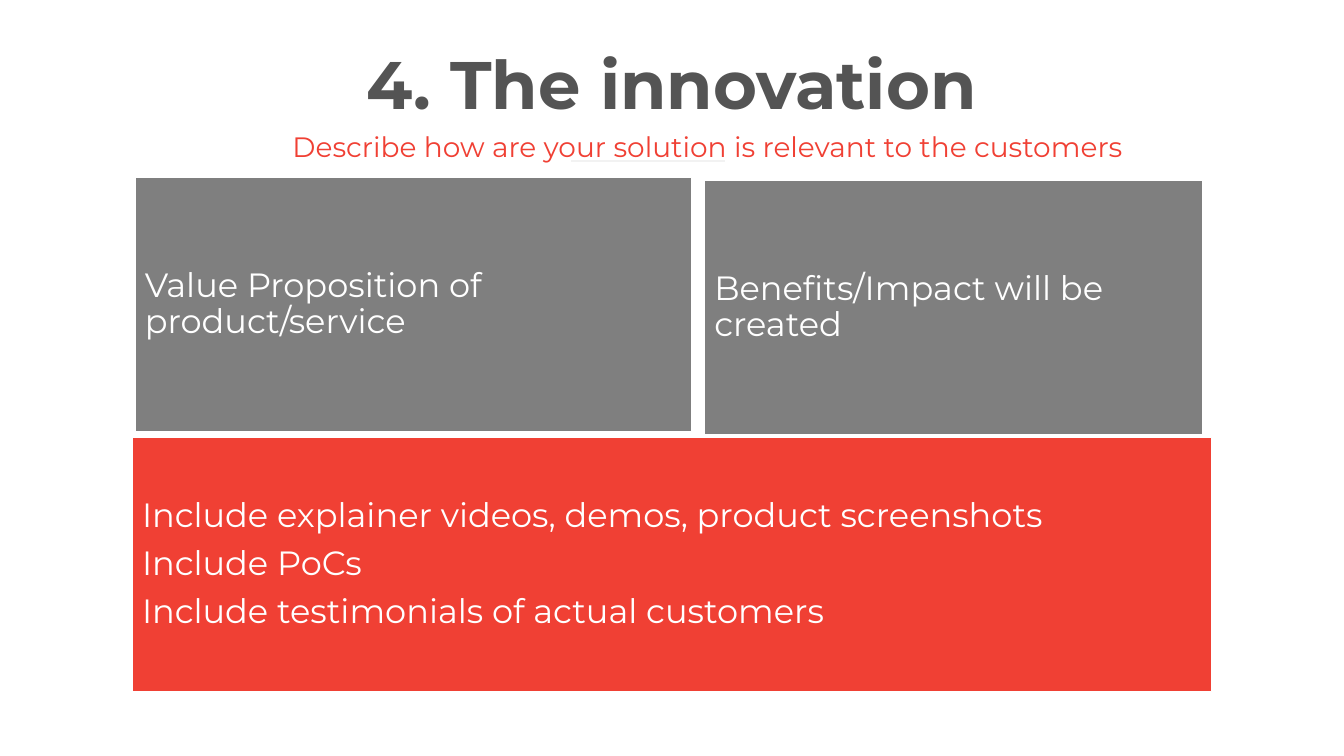
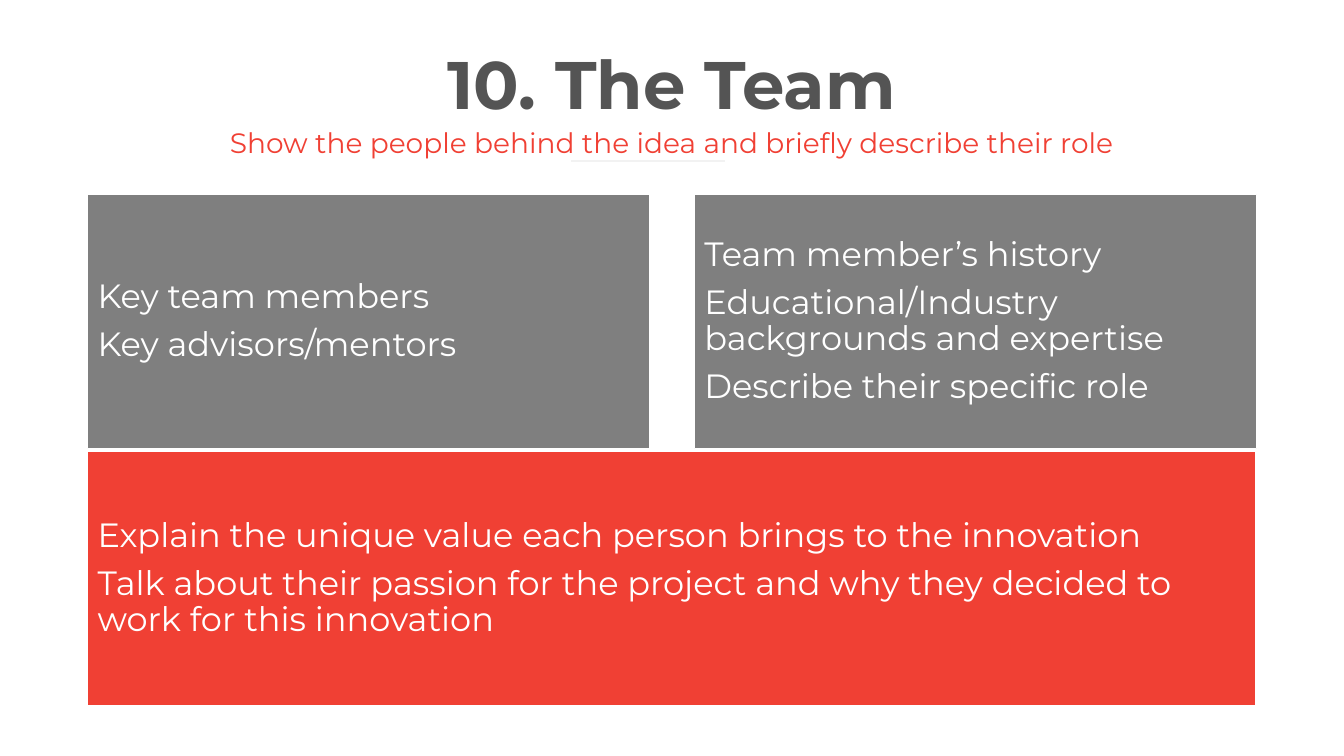
from lxml import etree
from pptx import Presentation
from pptx.dml.color import RGBColor
from pptx.enum.shapes import MSO_CONNECTOR, MSO_SHAPE
from pptx.enum.text import MSO_ANCHOR, MSO_AUTO_SIZE, PP_ALIGN
from pptx.oxml.ns import qn
from pptx.util import Cm, Pt

STRAIGHT = MSO_CONNECTOR.STRAIGHT
RECTANGLE = MSO_SHAPE.RECTANGLE
TOP, MIDDLE = MSO_ANCHOR.TOP, MSO_ANCHOR.MIDDLE
LEFT, CENTER = PP_ALIGN.LEFT, PP_ALIGN.CENTER
NO_AUTOFIT = MSO_AUTO_SIZE.NONE

FONT = "Montserrat"
COLORS = {
    "title": "545454",
    "accent": "F04034",
    "panel": "7F7F7F",
    "rule": "F2F2F2",
    "white": "FFFFFF",
}
TWO_CONTENT = 3
PANEL_HEIGHT = 6.41


def color(name):
    return RGBColor.from_string(COLORS[name])


class PitchDeck:
    """Builds the pages of a pitch deck in one shared style."""

    def __init__(self):
        self.deck = Presentation()
        self.deck.slide_width, self.deck.slide_height = Cm(33.87), Cm(19.05)
        self.page = None

    def place(self, box, left, top, width, height):
        box.left, box.top = Cm(left), Cm(top)
        box.width, box.height = Cm(width), Cm(height)

    def set_text(self, box, lines, size, color_name, align, anchor,
                 spacing=1.0, after=0, bold=False):
        frame = box.text_frame
        frame.text = "\n".join(lines)
        frame.word_wrap = True
        frame.auto_size = NO_AUTOFIT
        frame.vertical_anchor = anchor
        for paragraph in frame.paragraphs:
            paragraph.alignment = align
            paragraph.line_spacing = spacing
            paragraph.space_before, paragraph.space_after = Pt(0), Pt(after)
            for span in paragraph.runs:
                span.font.name, span.font.size = FONT, Pt(size)
                span.font.bold = bold
                span.font.color.rgb = color(color_name)

    def add_page(self, title):
        layout = self.deck.slide_layouts[TWO_CONTENT]
        self.page = self.deck.slides.add_slide(layout)
        self.add_rule()
        box = self.page.shapes.title
        self.place(box, 2.08, 1.32, 29.69, 1.9)
        self.set_text(box, [title], 48, "title", CENTER, TOP, spacing=0.8, bold=True)

    def add_rule(self):
        rule = self.page.shapes.add_connector(
            STRAIGHT, Cm(14.4), Cm(4.06), Cm(18.26), Cm(4.06))
        rule.line.color.rgb = color("rule")
        rule.line.width = Pt(2)
        etree.SubElement(rule._element.spPr, qn("a:effectLst"))

    def add_subtitle(self, text, left, top, width):
        box = self.page.shapes.add_textbox(Cm(left), Cm(top), Cm(width), Cm(1.12))
        self.set_text(box, [text], 20, "accent", CENTER, TOP)

    def fill_panel(self, box, lines, fill):
        box.fill.solid()
        box.fill.fore_color.rgb = color(fill)
        box.line.color.rgb = color("white")
        box.line.width = Pt(1)
        frame = box.text_frame
        frame.margin_left = frame.margin_right = Cm(0.25)
        frame.margin_top = frame.margin_bottom = Cm(0.25)
        self.set_text(box, lines, 24, "white", LEFT, MIDDLE, spacing=0.9, after=8.4)

    def add_list_panel(self, index, lines, left, top, width):
        box = self.page.placeholders[index]
        self.place(box, left, top, width, PANEL_HEIGHT)
        self.fill_panel(box, lines, "panel")
        for paragraph in box.text_frame.paragraphs:
            properties = paragraph._p.get_or_add_pPr()
            properties.set("marL", "0")
            properties.set("indent", "0")
            etree.SubElement(properties, qn("a:buNone"))

    def add_accent_panel(self, lines, left, top, width):
        box = self.page.shapes.add_shape(
            RECTANGLE, Cm(left), Cm(top), Cm(width), Cm(PANEL_HEIGHT))
        box.shadow.inherit = False
        self.fill_panel(box, lines, "accent")

    def save(self):
        self.deck.save("out.pptx")


def main():
    pitch = PitchDeck()

    pitch.add_page("4. The innovation")
    pitch.add_subtitle(
        "Describe how are your solution is relevant to the customers",
        4.65, 3.15, 26.37)
    pitch.add_list_panel(
        1, ["Value Proposition of product/service"], 3.4, 4.47, 14.02)
    pitch.add_list_panel(
        2, ["Benefits/Impact will be created"], 17.75, 4.55, 12.55)
    pitch.add_accent_panel(
        ["Include explainer videos, demos, product screenshots",
         "Include PoCs",
         "Include testimonials of actual customers"],
        3.33, 11.02, 27.2)

    pitch.add_page("10. The Team")
    pitch.add_subtitle(
        "Show the people behind the idea and briefly describe their role",
        4.75, 3.05, 24.36)
    pitch.add_list_panel(
        1, ["Key team members", "Key advisors/mentors"], 2.21, 4.9, 14.17)
    pitch.add_list_panel(
        2,
        ["Team member’s history",
         "Educational/Industry backgrounds and expertise",
         "Describe their specific role"],
        17.5, 4.9, 14.17)
    pitch.add_accent_panel(
        ["Explain the unique value each person brings to the innovation",
         "Talk about their passion for the project and why they decided to "
         "work for this innovation"],
        2.21, 11.38, 29.44)

    pitch.save()


if __name__ == "__main__":
    main()
